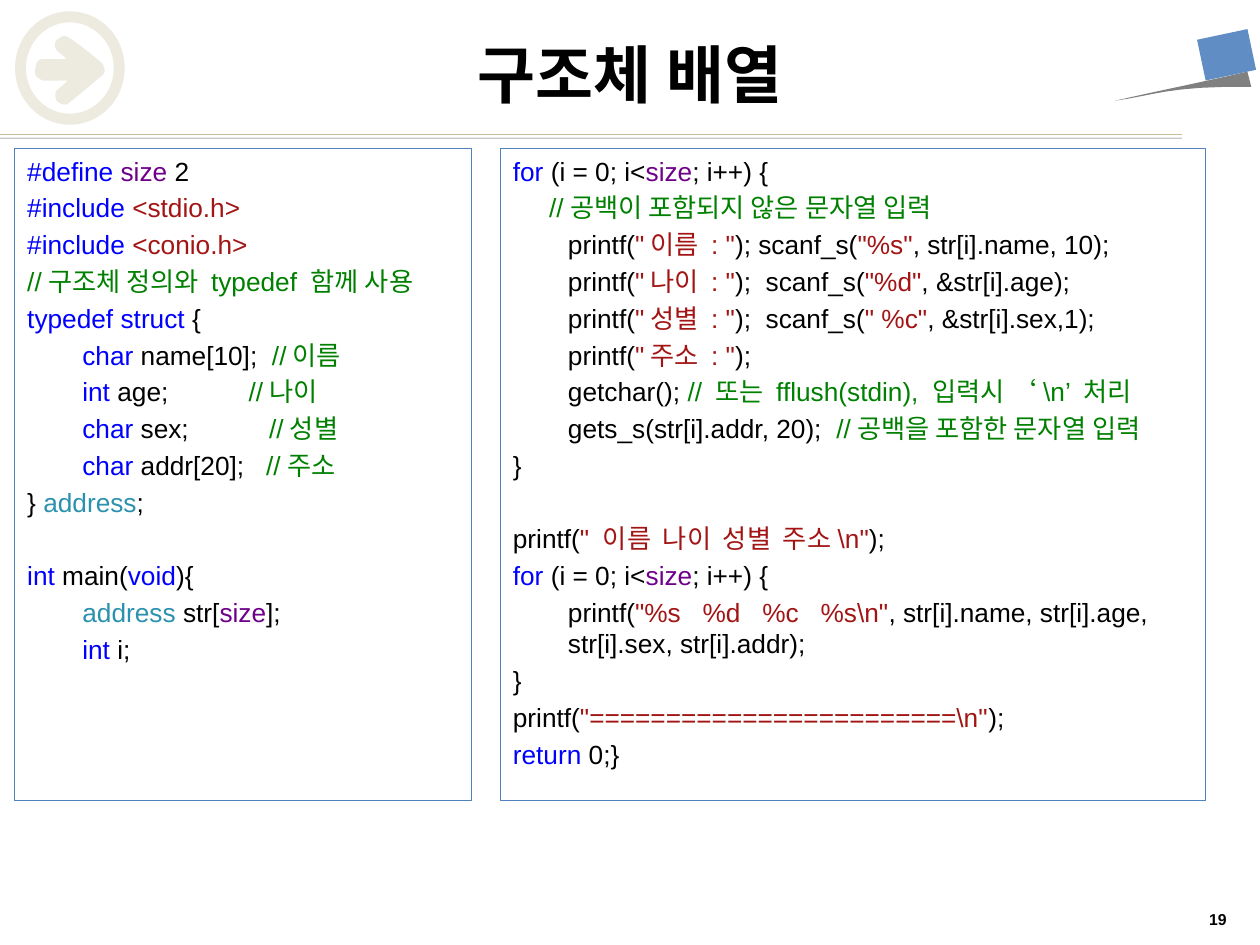
"""Build the slide on arrays of structures: two code panels under a title."""
from lxml import etree
from pptx import Presentation
from pptx.dml.color import RGBColor
from pptx.enum.shapes import MSO_CONNECTOR, MSO_SHAPE
from pptx.enum.text import MSO_ANCHOR, PP_ALIGN
from pptx.oxml.ns import qn
from pptx.util import Pt

RECTANGLE, DONUT = MSO_SHAPE.RECTANGLE, MSO_SHAPE.DONUT
STRAIGHT = MSO_CONNECTOR.STRAIGHT
LEFT, CENTER, RIGHT = PP_ALIGN.LEFT, PP_ALIGN.CENTER, PP_ALIGN.RIGHT
TOP, MIDDLE = MSO_ANCHOR.TOP, MSO_ANCHOR.MIDDLE

BLACK, WHITE, BLUE, SAND, GRAY = "000000", "FFFFFF", "4F81BD", "C4BD97", "808080"
SYNTAX = {"k": "0000FF", "n": "6F008A", "s": "A31515", "c": "008000", "t": "2B91AF"}

DECLARATIONS = [
    "`k#define` `nsize` 2",
    "`k#include` `s<stdio.h>`",
    "`k#include` `s<conio.h>`",
    "`c//구조체 정의와 typedef 함께 사용`",
    "`ktypedef` `kstruct` {",
    "\t`kchar` name[10];  `c//이름`",
    "\t`kint` age;           `c//나이`",
    "\t`kchar` sex;           `c//성별`",
    "\t`kchar` addr[20];   `c//주소`",
    "} `taddress`;",
    "",
    "`kint` main(`kvoid`){",
    "\t`taddress` str[`nsize`];",
    "\t`kint` i;",
]
INPUT_OUTPUT = [
    "`kfor` (i = 0; i<`nsize`; i++) {",
    "`c     //공백이 포함되지 않은 문자열 입력`",
    "\tprintf(`s\"이름 : \"`); scanf_s(`s\"%s\"`, str[i].name, 10);",
    "\tprintf(`s\"나이 : \"`);  scanf_s(`s\"%d\"`, &str[i].age);",
    "\tprintf(`s\"성별 : \"`);  scanf_s(`s\" %c\"`, &str[i].sex,1);",
    "\tprintf(`s\"주소 : \"`);",
    "\tgetchar(); `c// 또는 fflush(stdin), 입력시 ‘\\n’ 처리`",
    "\tgets_s(str[i].addr, 20);  `c//공백을 포함한 문자열 입력`",
    "}",
    "",
    "printf(`s\" 이름  나이  성별  주소\\n\"`);",
    "`kfor` (i = 0; i<`nsize`; i++) {",
    "\tprintf(`s\"%s   %d   %c   %s\\n\"`, str[i].name, str[i].age, str[i].sex, str[i].addr);",
    "}",
    "printf(`s\"========================\\n\"`);",
    "`kreturn` 0;}",
]
ARROW = [
    [(58.3, 36)],
    [(54.7, 33.1), (42.5, 23), (38.2, 20.9)],
    [(36, 20.2), (35.3, 20.9), (33.1, 22.3)],
    [(31, 23.8), (31, 26.6), (32.4, 28.8)],
    [(38.2, 33.8)],
    [(23.8, 33.8)],
    [(20.9, 34.6), (20.2, 37.4), (20.2, 39.6)],
    [(19.4, 42.5), (20.9, 44.6), (24.5, 46.1)],
    [(38.9, 46.1)],
    [(32.4, 51.8)],
    [(31, 53.3), (31.7, 56.2), (32.4, 57.6)],
    [(33.8, 59), (35.3, 59.8), (38.2, 59.8)],
    [(48.2, 51.8), (58.3, 43.2), (58.3, 43.2)],
    [(59.8, 41.8), (59.8, 41), (59.8, 39.6)],
    [(59.8, 38.9), (59, 37.4), (58.3, 36)],
]
SWOOSH = [
    [(712.8, 41)],
    [(715, 49.7)],
    [(668.2, 49), (658.8, 54.7), (637.2, 57.6)],
    [(662.4, 51.8), (687.6, 46.8), (712.8, 41)],
]


def rgb(value):
    return RGBColor.from_string(value)


def add_text(paragraph, text, font="Arial", size=15, color=BLACK, bold=False):
    run = paragraph.add_run()
    run.text = text
    run.font.name, run.font.size, run.font.bold = font, Pt(size), bold
    run.font.color.rgb = rgb(color)


def set_alpha(fill_parent, percent):
    color = fill_parent.find(qn("a:solidFill"))[0]
    etree.SubElement(color, qn("a:alpha"), val=str(percent * 1000))


def outline_points(segments, steps=8):
    points = list(segments[0])
    for segment in segments[1:]:
        if len(segment) == 1:
            points += segment
            continue
        corners = [points[-1], *segment]
        for step in range(1, steps + 1):
            t = step / steps
            weights = ((1 - t) ** 3, 3 * t * (1 - t) ** 2, 3 * t * t * (1 - t), t ** 3)
            points.append(tuple(sum(w * c[axis] for w, c in zip(weights, corners))
                                for axis in (0, 1)))
    return points


class Deck:
    def __init__(self):
        self.presentation = Presentation()
        self.presentation.slide_width, self.presentation.slide_height = Pt(720), Pt(540)
        self.slide = self.presentation.slides.add_slide(self.presentation.slide_layouts[5])
        self.shapes = self.slide.shapes

    def paint(self, shape, fill, alpha=100, line=None):
        shape.shadow.inherit = False
        shape.fill.solid()
        shape.fill.fore_color.rgb = rgb(fill)
        if alpha < 100:
            set_alpha(shape._element.spPr, alpha)
        if line:
            shape.line.color.rgb, shape.line.width = rgb(line), Pt(0.75)
        else:
            shape.line.fill.background()
        return shape

    def block(self, kind, box, fill, alpha=100, line=None, rotation=0):
        shape = self.shapes.add_shape(kind, *map(Pt, box))
        shape.rotation = rotation
        return self.paint(shape, fill, alpha, line)

    def outline(self, segments, fill, alpha=100):
        start, *rest = [(Pt(x), Pt(y)) for x, y in outline_points(segments)]
        builder = self.shapes.build_freeform(*start)
        builder.add_line_segments(rest)
        return self.paint(builder.convert_to_shape(), fill, alpha)

    def rule(self, x1, y1, x2, y2):
        rule = self.shapes.add_connector(STRAIGHT, *map(Pt, (x1, y1, x2, y2)))
        rule.line.color.rgb, rule.line.width = rgb(SAND), Pt(0.75)
        effects = etree.SubElement(rule._element.spPr, qn("a:effectLst"))
        shadow = etree.SubElement(effects, qn("a:outerShdw"), dist=str(Pt(2)),
                                  dir="5400000", rotWithShape="0")
        color = etree.SubElement(shadow, qn("a:srgbClr"), val=BLACK)
        etree.SubElement(color, qn("a:alpha"), val="22000")

    def title(self, text, box):
        title = self.shapes.title
        title.left, title.top, title.width, title.height = map(Pt, box)
        title.text_frame.vertical_anchor = MIDDLE
        heading = title.text_frame.paragraphs[0]
        heading.alignment = CENTER
        add_text(heading, text, font="Cabin", size=36, bold=True)

    def page_number(self, text, box):
        frame = self.shapes.add_textbox(*map(Pt, box)).text_frame
        frame.word_wrap, frame.vertical_anchor = True, MIDDLE
        frame.margin_top = frame.margin_bottom = 0
        number = frame.paragraphs[0]
        number.alignment = RIGHT
        add_text(number, text, size=9, bold=True)

    def code(self, lines, box):
        frame = self.block(RECTANGLE, box, WHITE, line=BLUE).text_frame
        frame.word_wrap, frame.vertical_anchor = True, TOP
        statement, gap = frame.paragraphs[0], 0
        for index, line in enumerate(lines):
            if not line:
                gap += 21
                continue
            if index:
                statement = frame.add_paragraph()
            statement.alignment, statement.line_spacing = LEFT, Pt(18)
            statement.space_before = Pt(gap)
            if line.startswith("\t"):
                statement._p.get_or_add_pPr().set("marL", str(Pt(31.5)))
            for position, piece in enumerate(line.lstrip("\t").split("`")):
                if position % 2:
                    add_text(statement, piece[1:], color=SYNTAX[piece[0]])
                elif piece:
                    add_text(statement, piece)
            gap = 3


def main():
    deck = Deck()
    deck.rule(0, 77, 675.4, 77)
    deck.outline(ARROW, SAND, alpha=30)
    ring = deck.block(DONUT, (8.6, 6.5, 62.7, 64.8), SAND, alpha=30)
    ring.adjustments[0] = 0.1
    deck.outline(SWOOSH, GRAY)
    deck.block(RECTANGLE, (689, 16.6, 23.8, 29.5), BLUE, alpha=90, rotation=78)
    deck.block(RECTANGLE, (647.3, 12.2, 23.8, 55.4), WHITE, alpha=50, rotation=78)
    deck.title("구조체 배열", (36, 12.2, 648, 59.8))
    deck.code(DECLARATIONS, (8.5, 85, 261, 372.5))
    deck.code(INPUT_OUTPUT, (286, 85, 403, 372.5))
    deck.page_number("19", (540, 519, 168, 12.2))
    deck.presentation.save("out.pptx")


if __name__ == "__main__":
    main()
